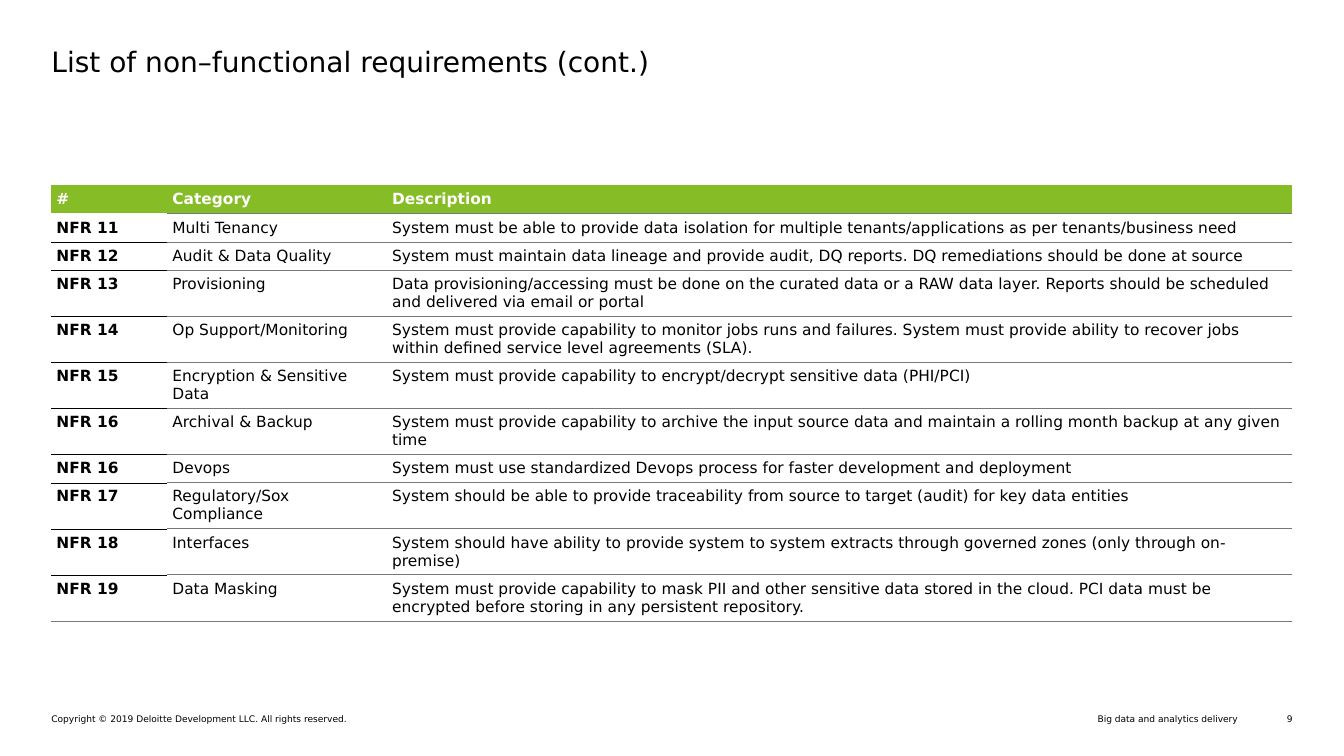
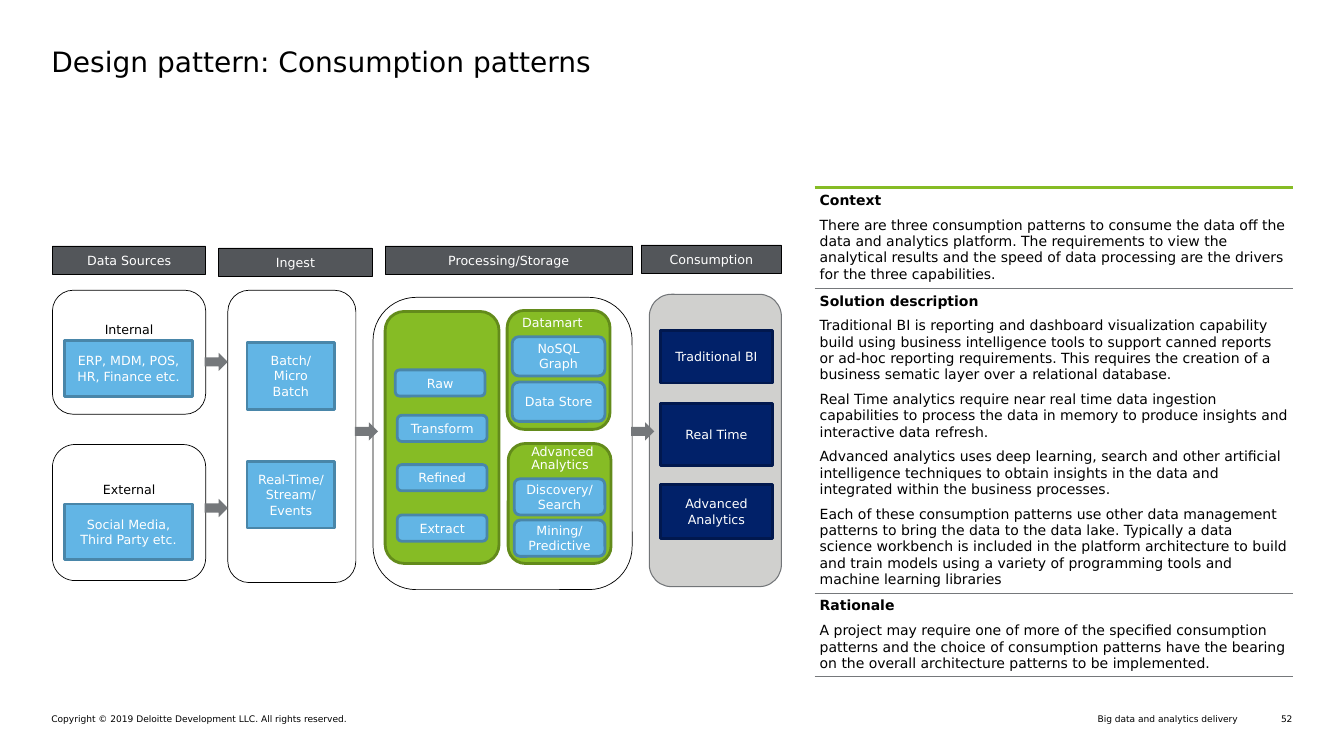
import pptx
import pptx.dml.color
import pptx.enum.shapes
import pptx.enum.text
import pptx.oxml
import pptx.oxml.ns
import pptx.util

PX = 9144  # EMU in one px, 100 px to the inch
ALIGN = pptx.enum.text.PP_ALIGN
ANCHOR = pptx.enum.text.MSO_ANCHOR
KIND = pptx.enum.shapes.MSO_SHAPE
PLAIN_TABLE = "{2D5ABB26-0587-4C30-8999-92F81FD0307C}"

BLACK, WHITE, GREEN, GRAY = "000000", "FFFFFF", "86BC25", "75787B"
COPYRIGHT = "Copyright © 2019 Deloitte Development LLC. All rights reserved."
TOPIC = "Big data and analytics delivery"

REQUIREMENTS = [
    ("#", "Category", "Description"),
    ("NFR 11", "Multi Tenancy",
     "System must be able to provide data isolation for multiple tenants/applications as per "
     "tenants/business need"),
    ("NFR 12", "Audit & Data Quality",
     "System must maintain data lineage and provide audit, DQ reports. DQ remediations should "
     "be done at source"),
    ("NFR 13", "Provisioning",
     "Data provisioning/accessing must be done on the curated data or a RAW data layer. Reports "
     "should be scheduled and delivered via email or portal"),
    ("NFR 14", "Op Support/Monitoring",
     "System must provide capability to monitor jobs runs and failures. System must provide "
     "ability to recover jobs within defined service level agreements (SLA)."),
    ("NFR 15", "Encryption & Sensitive Data",
     "System must provide capability to encrypt/decrypt sensitive data (PHI/PCI)"),
    ("NFR 16", "Archival & Backup",
     "System must provide capability to archive the input source data and maintain a rolling "
     "month backup at any given time"),
    ("NFR 16", "Devops",
     "System must use standardized Devops process for faster development and deployment"),
    ("NFR 17", "Regulatory/Sox Compliance",
     "System should be able to provide traceability from source to target (audit) for key data "
     "entities"),
    ("NFR 18", "Interfaces",
     "System should have ability to provide system to system extracts through governed zones "
     "(only through on-premise)"),
    ("NFR 19", "Data Masking",
     "System must provide capability to mask PII and other sensitive data stored in the cloud. "
     "PCI data must be encrypted before storing in any persistent repository."),
]

PATTERN_NOTES = [
    ["Context",
     "There are three consumption patterns to consume the data off the data and analytics "
     "platform. The requirements to view the analytical results and the speed of data "
     "processing are the drivers for the three capabilities."],
    ["Solution description",
     "Traditional BI is reporting and dashboard visualization capability build using business "
     "intelligence tools to support canned reports or ad-hoc reporting requirements. This "
     "requires the creation of a business sematic layer over a relational database.",
     "Real Time analytics require near real time data ingestion capabilities to process the "
     "data in memory to produce insights and interactive data refresh.",
     "Advanced analytics uses deep learning, search and other artificial intelligence "
     "techniques to obtain insights in the data and integrated within the business processes.",
     "Each of these consumption patterns use other data management patterns to bring the data "
     "to the data lake. Typically a data science workbench is included in the platform "
     "architecture to build and train models using a variety of programming tools and machine "
     "learning libraries"],
    ["Rationale",
     "A project may require one of more of the specified consumption patterns and the choice "
     "of consumption patterns have the bearing on the overall architecture patterns to be "
     "implemented."],
]


def px(length):
    return pptx.util.Emu(length * PX)


def rgb(color):
    return pptx.dml.color.RGBColor.from_string(color)


class Pages:
    """Holds the deck's style and the page being drawn."""

    font = "DejaVu Sans"
    # kind, fill, line colour, line width, text colour
    looks = {
        "container": (KIND.ROUNDED_RECTANGLE, WHITE, BLACK, 0.5, BLACK),
        "header": (KIND.RECTANGLE, "53565A", BLACK, 0.5, WHITE),
        "store": (KIND.ROUNDED_RECTANGLE, GREEN, "638B1B", 2, WHITE),
        "step": (KIND.ROUNDED_RECTANGLE, "62B5E5", "4986A9", 2, WHITE),
        "feed": (KIND.RECTANGLE, "62B5E5", "4986A9", 2, WHITE),
        "outlet": (KIND.ROUNDED_RECTANGLE, "D0D0CE", "727578", 0.75, BLACK),
        "use": (KIND.RECTANGLE, "012169", "01184E", 2, WHITE),
        "arrow": (KIND.RIGHT_ARROW, GRAY, None, 0, WHITE),
    }

    def __init__(self):
        self.deck = pptx.Presentation()
        self.deck.slide_width, self.deck.slide_height = px(1333), px(750)
        self.page = None

    def new_page(self, title, number):
        self.page = self.deck.slides.add_slide(self.deck.slide_layouts[5])
        box = self.page.shapes.title
        box.left, box.top, box.width, box.height = map(px, (51, 44, 1231, 76))
        self.frame(box.text_frame, (0, 0, 0, 0), ANCHOR.TOP)
        self.put_lines(box.text_frame, [title], 20)
        self.text((51, 708, 586, 11), [COPYRIGHT], 6.5)
        self.text((693, 708, 535, 11), [TOPIC], 6.5, align=ALIGN.RIGHT)
        self.text((1248, 708, 34, 11), [str(number)], 6.5, align=ALIGN.RIGHT)

    def frame(self, frame, margins, anchor):
        """Sets wrapping, the left, top, right and bottom margins, and the anchor."""
        frame.auto_size = pptx.enum.text.MSO_AUTO_SIZE.NONE
        frame.word_wrap = True
        (frame.margin_left, frame.margin_top,
         frame.margin_right, frame.margin_bottom) = map(px, margins)
        frame.vertical_anchor = anchor

    def put_lines(self, frame, lines, size, color=BLACK, align=ALIGN.LEFT):
        for index, line in enumerate(lines):
            para = frame.paragraphs[0] if index == 0 else frame.add_paragraph()
            para.text = line
            para.alignment = align
            para.font.name, para.font.size = self.font, pptx.util.Pt(size)
            para.font.color.rgb = rgb(color)
        return frame.paragraphs

    def text(self, place, lines, size, color=BLACK, align=ALIGN.LEFT,
             margins=(0, 0, 0, 0), anchor=ANCHOR.TOP):
        box = self.page.shapes.add_textbox(*map(px, place))
        self.frame(box.text_frame, margins, anchor)
        return self.put_lines(box.text_frame, lines, size, color, align)

    def shape(self, look, place, *lines, label_drop=None):
        """Draws a styled shape; label_drop puts its text that far below the top."""
        kind, fill, line, width, color = self.looks[look]
        shape = self.page.shapes.add_shape(kind, *map(px, place))
        shape.shadow.inherit = False
        shape.fill.solid()
        shape.fill.fore_color.rgb = rgb(fill)
        if line:
            shape.line.color.rgb = rgb(line)
            shape.line.width = pptx.util.Pt(width)
        else:
            shape.line.fill.background()
        if lines:
            anchor = ANCHOR.MIDDLE if label_drop is None else ANCHOR.TOP
            self.frame(shape.text_frame, (10, label_drop or 5, 10, 5), anchor)
            self.put_lines(shape.text_frame, lines, 9, color, ALIGN.CENTER)

    def table(self, left, top, widths, heights):
        holder = self.page.shapes.add_table(
            len(heights), len(widths), *map(px, (left, top, sum(widths), sum(heights))))
        table = holder.table
        table.first_row = table.horz_banding = False
        for style in holder.element.iter(pptx.oxml.ns.qn("a:tableStyleId")):
            style.text = PLAIN_TABLE
        for column, width in zip(table.columns, widths):
            column.width = px(width)
        for row, height in zip(table.rows, heights):
            row.height = px(height)
        return table

    def cell(self, cell, lines, size, color=BLACK, fill=None, **borders):
        """Fills a cell; borders are T and B, each a colour and a width."""
        properties = cell._tc.get_or_add_tcPr()
        for side, (line, width) in borders.items():
            properties.append(pptx.oxml.parse_xml(
                f'<a:ln{side} {pptx.oxml.ns.nsdecls("a")} w="{pptx.util.Pt(width)}">'
                f'<a:solidFill><a:srgbClr val="{line}"/></a:solidFill></a:ln{side}>'))
        if fill:
            cell.fill.solid()
            cell.fill.fore_color.rgb = rgb(fill)
        else:
            cell.fill.background()
        cell.margin_left = cell.margin_right = cell.margin_top = cell.margin_bottom = px(5)
        return self.put_lines(cell.text_frame, lines, size, color)


def requirements_page(pages):
    pages.new_page("List of non–functional requirements (cont.)", 9)
    table = pages.table(51, 184, (115, 218, 897), [28] * len(REQUIREMENTS))
    last = len(REQUIREMENTS) - 1
    for r, row in enumerate(REQUIREMENTS):
        for c, words in enumerate(row):
            rule = (GRAY, 0.5)
            if c == 0 and r < last:
                rule = (BLACK, 0.25) if r else (WHITE, 0.5)
            color, fill = (BLACK, None) if r else (WHITE, GREEN)
            paras = pages.cell(table.cell(r, c), [words], 11, color, fill, B=rule)
            paras[0].font.bold = r == 0 or c == 0


def consumption_page(pages):
    pages.new_page("Design pattern: Consumption patterns", 52)
    table = pages.table(808, 186, [474], (100, 302, 83))
    for r, lines in enumerate(PATTERN_NOTES):
        borders = {"B": (GRAY, 0.5)} if r else {"T": (GREEN, 3), "B": (GRAY, 0.5)}
        paras = pages.cell(table.cell(r, 0), lines, 10, **borders)
        paras[0].font.bold = True
        for para in paras:
            para.space_after = pptx.util.Pt(6)

    for left, top, width, name in [(52, 244, 152, "Data Sources"), (217, 246, 152, "Ingest"),
                                   (382, 244, 245, "Processing/Storage"),
                                   (636, 243, 139, "Consumption")]:
        pages.shape("header", (left, top, width, 28), name)

    pages.shape("container", (52, 288, 152, 123), "Internal", label_drop=25)
    pages.shape("container", (52, 441, 152, 135), "External", label_drop=31)
    pages.shape("container", (226, 288, 127, 290))
    pages.shape("container", (370, 295, 257, 290))
    pages.shape("outlet", (644, 292, 131, 290))
    for place in [(382, 309, 113, 250), (503, 308, 102, 118), (504, 440, 102, 119)]:
        pages.shape("store", place)

    for top, name in [(338, "ERP, MDM, POS, HR, Finance etc."),
                      (500, "Social Media, Third Party etc.")]:
        pages.shape("feed", (64, top, 127, 55), name)
    for top, name in [(340, "Batch/ Micro Batch"), (458, "Real-Time/ Stream/ Events")]:
        pages.shape("feed", (245, top, 87, 66), name)

    for left, top, name in [(392, 367, "Raw"), (394, 412, "Transform"),
                            (394, 461, "Refined"), (394, 511, "Extract")]:
        pages.shape("step", (left, top, 89, 26), name)
    for top, name in [(334, "NoSQL Graph"), (379, "Data Store")]:
        pages.shape("step", (508, top, 92, 39), name)
    for top, lines in [(475, ["Discovery/ Search"]), (516, ["Mining/", "Predictive"])]:
        pages.shape("step", (510, top, 90, 36), *lines)

    for top, height, name in [(328, 52, "Traditional BI"), (400, 62, "Real Time"),
                              (481, 53, "Advanced Analytics")]:
        pages.shape("use", (655, top, 111, height), name)

    for left, top in [(203, 350), (203, 495), (352, 419), (626, 419)]:
        pages.shape("arrow", (left, top, 23, 18))

    for place, lines in [((518, 309, 94, 23), ["Datamart"]),
                         ((527, 438, 126, 35), ["Advanced", "Analytics"])]:
        for para in pages.text(place, lines, 9, WHITE, margins=(0, 5, 0, 5),
                               anchor=ANCHOR.BOTTOM):
            para.line_spacing = pptx.util.Pt(9)


def main():
    pages = Pages()
    requirements_page(pages)
    consumption_page(pages)
    pages.deck.save("out.pptx")


if __name__ == "__main__":
    main()
